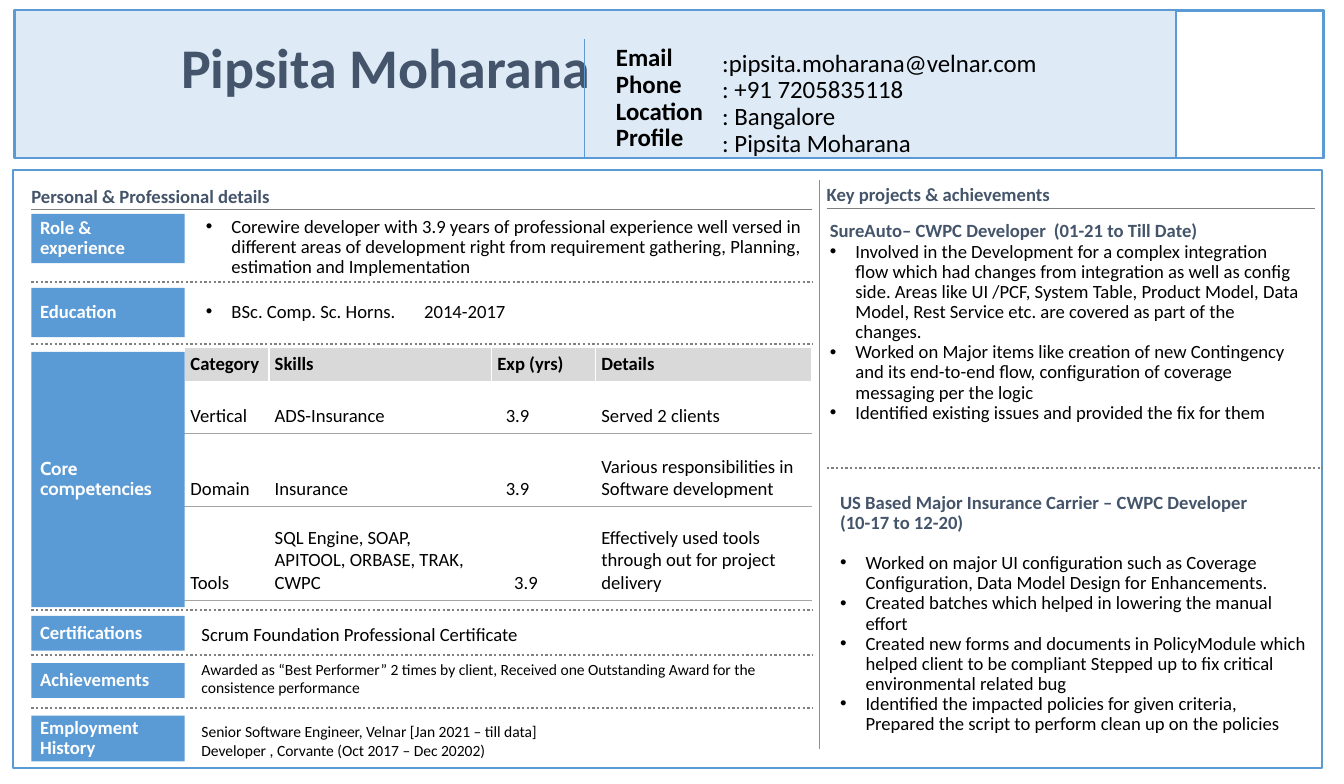
from dataclasses import dataclass
from typing import Any

from lxml.etree import SubElement
from pptx import Presentation
from pptx.dml.color import RGBColor
from pptx.enum.dml import MSO_LINE
from pptx.enum.shapes import MSO_CONNECTOR, MSO_SHAPE
from pptx.enum.text import MSO_ANCHOR, MSO_AUTO_SIZE, PP_ALIGN
from pptx.oxml.ns import qn
from pptx.util import Cm, Pt


@dataclass(frozen=True)
class Theme:
    font: str = "Calibri"
    tag_font: str = "Cabin"
    accent: str = "5B9BD5"
    pale: str = "DEEBF7"
    heading: str = "44546A"
    text: str = "000000"
    white: str = "FFFFFF"
    rule: str = "808080"
    table_head: str = "D9D9D9"
    table_rule: str = "A5A5A5"
    name_size: int = 36
    contact_size: int = 16
    body_size: int = 12
    small_size: int = 10


def rgb(value):
    return RGBColor.from_string(value)


@dataclass
class ProfileSlide:
    theme: Theme
    slide: Any

    def style(self, p, size, color=None, bold=False, font=None, spacing=0.9):
        p.alignment = PP_ALIGN.LEFT
        p.line_spacing = spacing
        p.space_before = p.space_after = Pt(0)
        for r in p.runs:
            r.font.name = font or self.theme.font
            r.font.size = Pt(size)
            r.font.bold = bold
            r.font.color.rgb = rgb(color or self.theme.text)

    def frame(self, sp, anchor=MSO_ANCHOR.TOP, margins=(0.25, 0.13, 0.25, 0.13)):
        tf = sp.text_frame
        tf.word_wrap = True
        tf.auto_size = MSO_AUTO_SIZE.NONE
        tf.vertical_anchor = anchor
        tf.margin_left, tf.margin_top, tf.margin_right, tf.margin_bottom = map(Cm, margins)
        return tf

    def place(self, idx, box):
        sp = self.slide.placeholders[idx]
        sp.left, sp.top, sp.width, sp.height = map(Cm, box)
        self.slide.shapes._spTree.append(sp._element)
        return sp

    def title(self, text, box):
        tf = self.frame(self.place(0, box))
        tf.text = text
        tf.word_wrap = False
        self.style(tf.paragraphs[0], self.theme.name_size, self.theme.heading, True)

    def bullet_list(self, idx, box, items, headings=(), gap=0, tab=None):
        tf = self.frame(self.place(idx, box))
        tf.text = "\n".join([*headings, *items])
        for i, p in enumerate(tf.paragraphs):
            is_heading = i < len(headings)
            color = self.theme.heading if is_heading else self.theme.text
            self.style(p, self.theme.body_size, color, is_heading)
            if i == len(headings):
                p.space_before = Pt(gap)
            pPr = p._p.get_or_add_pPr()
            indent = 0 if is_heading else Cm(0.58)
            pPr.set("marL", str(indent))
            pPr.set("indent", str(-indent))
            if is_heading:
                SubElement(pPr, qn("a:buNone"))
                if tab:
                    tabs = SubElement(pPr, qn("a:tabLst"))
                    SubElement(tabs, qn("a:tab"), pos=str(Cm(tab)), algn="l")
            else:
                SubElement(pPr, qn("a:buFont"), typeface="Arial")
                SubElement(pPr, qn("a:buChar"), char="•")

    def text(self, box, text, size, color=None, bold=False, spacing=0.9, **frame):
        tf = self.frame(self.slide.shapes.add_textbox(*map(Cm, box)), **frame)
        tf.text = text
        for p in tf.paragraphs:
            self.style(p, size, color, bold, spacing=spacing)

    def section(self, box, text):
        self.text(box, text, self.theme.body_size, self.theme.heading, True,
                  anchor=MSO_ANCHOR.BOTTOM, margins=(0, 0, 0, 0.05))
        left, top, width, height = box
        self.line((left, top + height), (left + width, top + height), self.theme.rule, 0.5)

    def note(self, box, text, size):
        self.text(box, text, size, spacing=1.0, margins=(0.18, 0.2, 0.18, 0.18))

    def rect(self, box, fill, outline=None):
        sp = self.slide.shapes.add_shape(MSO_SHAPE.RECTANGLE, *map(Cm, box))
        sp.shadow.inherit = False
        sp.fill.solid()
        sp.fill.fore_color.rgb = rgb(fill)
        if outline:
            sp.line.color.rgb = rgb(outline)
            sp.line.width = Pt(1.5)
        else:
            sp.line.fill.background()
        return sp

    def tag(self, top, height, text, font=None):
        sp = self.rect((0.71, top, 3.48, height), self.theme.accent)
        tf = self.frame(sp, MSO_ANCHOR.MIDDLE, (0.2,) * 4)
        tf.text = text
        self.style(tf.paragraphs[0], self.theme.body_size, self.theme.white, True, font)

    def line(self, start, end, color, width, dotted=False):
        cx = self.slide.shapes.add_connector(MSO_CONNECTOR.STRAIGHT, *map(Cm, start + end))
        cx.line.color.rgb = rgb(color)
        cx.line.width = Pt(width)
        if dotted:
            cx.line.dash_style = MSO_LINE.ROUND_DOT
        SubElement(cx._element.spPr, qn("a:effectLst"))

    def border(self, cell, side, color):
        ln = SubElement(cell._tc.get_or_add_tcPr(), qn(f"a:ln{side}"), w=str(Pt(1)))
        fill = SubElement(ln, qn("a:solidFill"))
        SubElement(fill, qn("a:srgbClr"), val=color)

    def table(self, left, top, widths, heights, rows, indents):
        t = self.theme
        box = (left, top, sum(widths), sum(heights))
        table = self.slide.shapes.add_table(len(rows), len(widths), *map(Cm, box)).table
        table.first_row = table.horz_banding = False
        for column, width in zip(table.columns, widths):
            column.width = Cm(width)
        for i, (row, height) in enumerate(zip(rows, heights)):
            table.rows[i].height = Cm(height)
            for j, value in enumerate(row):
                cell = table.cell(i, j)
                cell.text = value
                cell.vertical_anchor = MSO_ANCHOR.BOTTOM
                cell.margin_top = cell.margin_right = cell.margin_bottom = Cm(0.13)
                cell.margin_left = Cm(0.13 + indents.get((i, j), 0))
                self.style(cell.text_frame.paragraphs[0], t.body_size, bold=i == 0, spacing=1.0)
                for side in "LRTB":
                    ruled = (side == "T" and i > 1) or (side == "B" and i > 0)
                    self.border(cell, side, t.table_rule if ruled else t.white)
                if i == 0:
                    cell.fill.solid()
                    cell.fill.fore_color.rgb = rgb(t.table_head)
                else:
                    cell.fill.background()


def main():
    prs = Presentation()
    prs.slide_width, prs.slide_height = Cm(30.48), Cm(17.78)
    theme = Theme()
    s = ProfileSlide(theme, prs.slides.add_slide(prs.slide_layouts[4]))

    s.rect((0.33, 0.23, 29.69, 3.35), theme.pale, theme.accent)
    s.rect((0.3, 3.86, 29.69, 13.56), theme.white, theme.accent)
    s.rect((26.67, 0.25, 3.35, 3.33), theme.white, theme.accent)
    s.title("Pipsita Moharana", (3.86, 0.79, 9.96, 2.18))
    s.text((13.72, 0.89, 3.35, 2.72), "Email\nPhone\nLocation\nProfile",
           theme.contact_size, bold=True)
    s.text((16.13, 1.02, 9.6, 2.72),
           ":pipsita.moharana@velnar.com\n: +91 7205835118\n: Bangalore\n: Pipsita Moharana",
           theme.contact_size)
    s.line((13.26, 0.89), (13.26, 3.61), theme.accent, 1)
    s.line((18.59, 4.09), (18.59, 16.99), theme.accent, 1)

    s.section((0.71, 4.24, 17.71, 0.51), "Personal & Professional details")
    s.section((18.75, 4.11, 11.07, 0.61), "Key projects & achievements")
    for y in (6.4, 7.8, 13.84, 14.86, 16.05):
        s.line((0.71, y), (18.42, y), theme.rule, 1.5, dotted=True)
    s.line((18.75, 10.62), (30, 10.62), theme.rule, 1.5, dotted=True)

    s.table(4.19, 7.87, (1.91, 5.05, 2.36, 4.9), (0.71, 1.19, 1.65, 2.13), (
        ("Category", "Skills", "Exp (yrs)", "Details"),
        ("Vertical", "ADS-Insurance", "3.9", "Served 2 clients"),
        ("Domain", "Insurance", "3.9", "Various responsibilities in Software development"),
        ("Tools", "SQL Engine, SOAP, APITOOL, ORBASE, TRAK, CWPC", "3.9",
         "Effectively used tools through out for project delivery"),
    ), {(1, 2): 0.19, (2, 2): 0.19, (3, 2): 0.38})

    for top, height, label in (
        (4.85, 1.12, "Role & experience"), (6.53, 1.12, "Education"),
        (13.97, 0.79, "Certifications"), (15.04, 0.79, "Achievements"),
        (16.23, 1.04, "Employment History"),
    ):
        s.tag(top, height, label)
    s.tag(7.98, 5.79, "Core competencies", theme.tag_font)

    s.bullet_list(1, (4.42, 4.8, 14.4, 1.65), [
        "Corewire developer with 3.9 years of professional experience well versed in different areas of development right from requirement gathering, Planning, estimation and Implementation"])
    s.bullet_list(2, (4.42, 6.73, 4.95, 0.71), ["BSc. Comp. Sc. Horns."])
    s.text((9.37, 6.73, 3.48, 0.71), "2014-2017", theme.body_size)
    s.note((4.39, 13.92, 12.62, 1.07), "Scrum Foundation Professional Certificate", theme.body_size)
    s.note((4.39, 14.76, 14.25, 1.47),
           "Awarded as “Best Performer” 2 times by client, Received one Outstanding Award for the consistence performance",
           theme.small_size)
    s.note((4.39, 16.18, 14.02, 1.47),
           "Senior Software Engineer, Velnar [Jan 2021 – till data]\nDeveloper , Corvante (Oct 2017 – Dec 20202)",
           theme.small_size)

    s.bullet_list(3, (18.57, 4.9, 11.25, 5.33), [
        "Involved in the Development for a complex integration flow which had changes from integration as well as config side. Areas like UI /PCF, System Table, Product Model, Data Model, Rest Service etc. are covered as part of the changes.",
        "Worked on Major items like creation of new Contingency and its end-to-end flow, configuration of coverage messaging per the logic",
        "Identified existing issues and provided the fix for them",
    ], ["SureAuto– CWPC Developer\t(01-21 to Till Date)"], tab=5.58)
    s.bullet_list(4, (18.8, 11.05, 11.15, 5.79), [
        "Worked on major UI configuration such as Coverage Configuration, Data Model Design for Enhancements.",
        "Created batches which helped in lowering the manual effort",
        "Created new forms and documents in PolicyModule which helped client to be compliant Stepped up to fix critical environmental related bug",
        "Identified the impacted policies for given criteria, Prepared the script to perform clean up on the policies",
    ], ["US Based Major Insurance Carrier – CWPC Developer", "(10-17 to 12-20)"], gap=13)

    prs.save("out.pptx")


if __name__ == "__main__":
    main()
